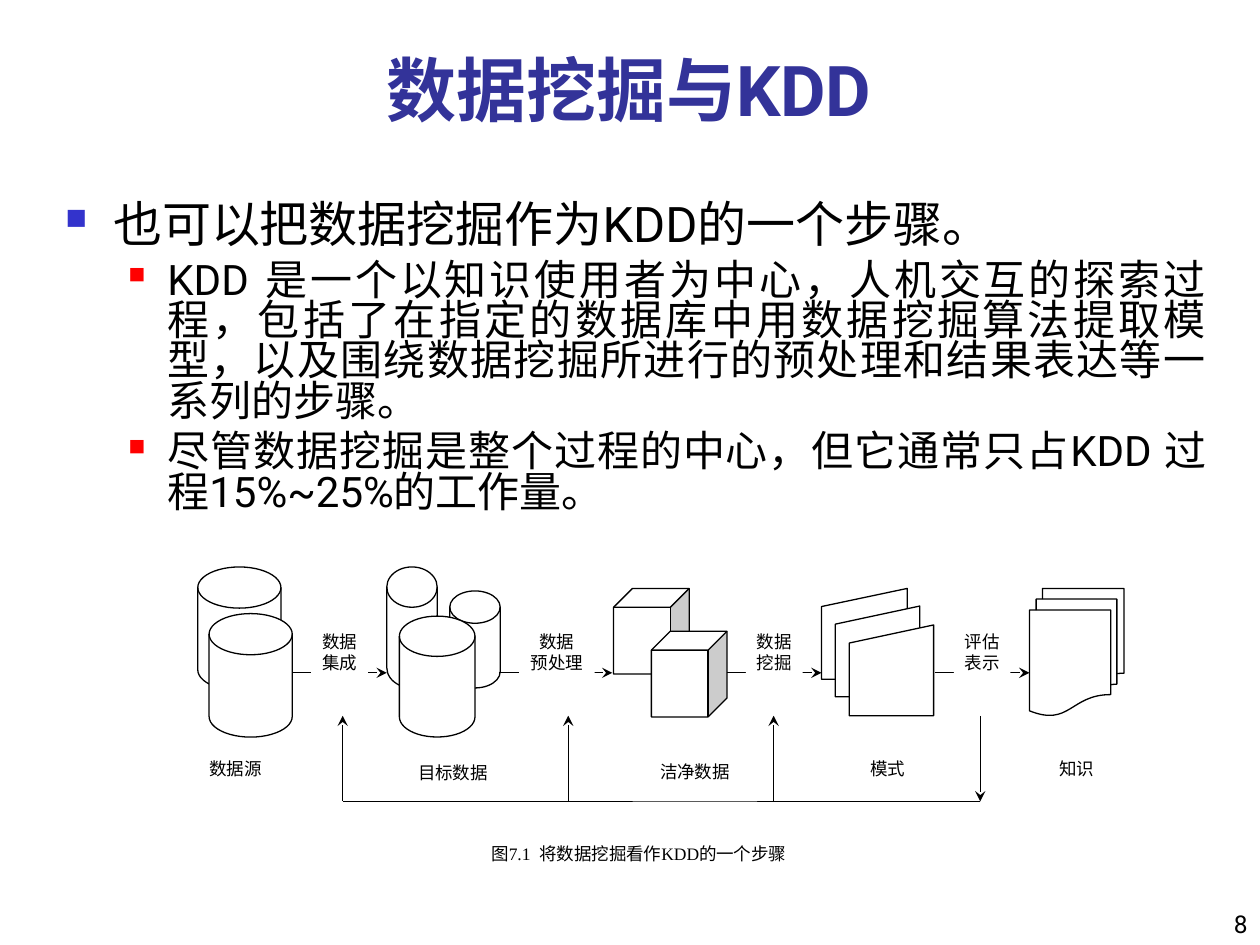
"""Build the slide on data mining as one step of the KDD process."""
from lxml import etree
from pptx import Presentation
from pptx import util as u
from pptx.dml.color import RGBColor
from pptx.enum import shapes, text
from pptx.oxml import ns

PX = 9144
BLACK = RGBColor(0x00, 0x00, 0x00)
WHITE = RGBColor(0xFF, 0xFF, 0xFF)
NAVY = RGBColor(0x33, 0x33, 0x99)
BLUE = RGBColor(0x33, 0x33, 0xCC)
RED = RGBColor(0xFF, 0x00, 0x00)
SANS, SERIF = "Roboto", "Times New Roman"
ALIGN, ANCHOR = text.PP_ALIGN, text.MSO_ANCHOR
KIND = shapes.MSO_SHAPE


def write(box, lines, size, font, align, color=BLACK):
    frame = box.text_frame
    frame.word_wrap = True
    frame.text = "\n".join(lines)
    for para in frame.paragraphs:
        para.alignment = align
        para.font.size = u.Pt(size)
        para.font.name = font
        para.font.color.rgb = color
    return frame


def draw_line(x1, y1, x2, y2, arrow=True):
    line = page.shapes.add_connector(
        shapes.MSO_CONNECTOR.STRAIGHT, x1 * PX, y1 * PX, x2 * PX, y2 * PX)
    line.line.color.rgb = BLACK
    line.line.width = u.Pt(0.75)
    if arrow:
        etree.SubElement(line.line._get_or_add_ln(), ns.qn("a:tailEnd"), type="stealth")
    etree.SubElement(line._element.spPr, ns.qn("a:effectLst"))


deck = Presentation()
deck.slide_width, deck.slide_height = 1000 * PX, 750 * PX
page = deck.slides.add_slide(deck.slide_layouts[5])

title = page.shapes.title
title.left, title.top, title.width, title.height = 84 * PX, 26 * PX, 844 * PX, 83 * PX
frame = write(title, ["数据挖掘与KDD "], 40, SANS, ALIGN.CENTER, NAVY)
frame.vertical_anchor = ANCHOR.BOTTOM
frame.auto_size = text.MSO_AUTO_SIZE.NONE
frame.paragraphs[0].font.bold = True

number = page.shapes.add_textbox(792 * PX, 700 * PX, 208 * PX, 50 * PX)
write(number, ["8"], 14, SANS, ALIGN.RIGHT).vertical_anchor = ANCHOR.BOTTOM

points = [
    (0, "也可以把数据挖掘作为KDD的一个步骤。"),
    (1, "KDD 是一个以知识使用者为中心，人机交互的探索过程，包括了在指定的数据库中用数据挖掘算法提取模型，"
        "以及围绕数据挖掘所进行的预处理和结果表达等一系列的步骤。"),
    (1, "尽管数据挖掘是整个过程的中心，但它通常只占KDD 过程15%~25%的工作量。"),
]
levels = [
    (28, 38, 38, BLUE, 60, ALIGN.LEFT),
    (24, 81, 31, RED, 55, ALIGN.JUSTIFY),
]
body = page.shapes.add_textbox(42 * PX, 158 * PX, 925 * PX, 558 * PX)
body.text_frame.word_wrap = True
for index, (level, words) in enumerate(points):
    size, margin, hang, bullet_color, percent, align = levels[level]
    para = body.text_frame.paragraphs[0] if index == 0 else body.text_frame.add_paragraph()
    para.text = words
    props = para._p.get_or_add_pPr()
    props.set("marL", str(margin * PX))
    props.set("indent", str(-hang * PX))
    props.set("hangingPunct", "0")
    bullet = etree.SubElement(props, ns.qn("a:buClr"))
    etree.SubElement(bullet, ns.qn("a:srgbClr"), val=str(bullet_color))
    etree.SubElement(props, ns.qn("a:buSzPct"), val=str(percent * 1000))
    etree.SubElement(props, ns.qn("a:buFont"), typeface="Wingdings", charset="2")
    etree.SubElement(props, ns.qn("a:buChar"), char="n")
    para.level = level
    para.alignment = align
    para.line_spacing = 0.8
    if index:
        para.space_before = u.Pt(6)
    para.font.size = u.Pt(size)
    para.font.name = SANS
    para.font.color.rgb = BLACK

icons = [
    (KIND.FLOWCHART_MAGNETIC_DISK, 157, 450, 66, 98),
    (KIND.FLOWCHART_MAGNETIC_DISK, 166, 487, 66, 98),
    (KIND.FLOWCHART_MAGNETIC_DISK, 307, 450, 40, 96),
    (KIND.FLOWCHART_MAGNETIC_DISK, 357, 469, 40, 77),
    (KIND.FLOWCHART_MAGNETIC_DISK, 317, 489, 60, 96),
    (KIND.CUBE, 487, 467, 60, 68),
    (KIND.CUBE, 517, 501, 60, 68),
    (KIND.FLOWCHART_MANUAL_INPUT, 652, 467, 68, 72),
    (KIND.FLOWCHART_MANUAL_INPUT, 663, 481, 67, 72),
    (KIND.FLOWCHART_MANUAL_INPUT, 674, 496, 67, 72),
    (KIND.FLOWCHART_MULTIDOCUMENT, 817, 467, 75, 101),
]
for kind, *place in icons:
    icon = page.shapes.add_shape(kind, *(n * PX for n in place))
    icon.shadow.inherit = False
    icon.fill.solid()
    icon.fill.fore_color.rgb = WHITE
    icon.line.color.rgb = BLACK
    icon.line.width = u.Pt(0.75)

for start, end in [(232, 307), (396, 486), (577, 652), (742, 817)]:
    draw_line(start, 534, end, 534)

draw_line(778, 568, 778, 636)
draw_line(778, 636, 272, 636, arrow=False)
for x in (272, 451, 614):
    draw_line(x, 636, x, 568)

labels = [
    (247, 501, 45, 67, ["数据", "集成"]),
    (412, 501, 60, 67, ["数据", "预处理"]),
    (592, 501, 45, 67, ["数据", "挖掘"]),
    (757, 501, 45, 67, ["评估", "表示"]),
    (142, 602, 90, 33, ["数据源"]),
    (307, 605, 105, 30, ["目标数据"]),
    (502, 604, 99, 32, ["洁净数据"]),
    (667, 602, 75, 33, ["模式"]),
    (817, 602, 75, 33, ["知识"]),
    (288, 669, 438, 31, ["图7.1  将数据挖掘看作KDD的一个步骤"]),
]
for *place, lines in labels:
    label = page.shapes.add_shape(KIND.RECTANGLE, *(n * PX for n in place))
    label.shadow.inherit = False
    label.fill.solid()
    label.fill.fore_color.rgb = WHITE
    label.line.fill.background()
    frame = write(label, lines, 10, SERIF, ALIGN.CENTER)
    frame.vertical_anchor = ANCHOR.TOP
    frame.margin_left = frame.margin_right = frame.margin_top = frame.margin_bottom = 0

deck.save("out.pptx")
